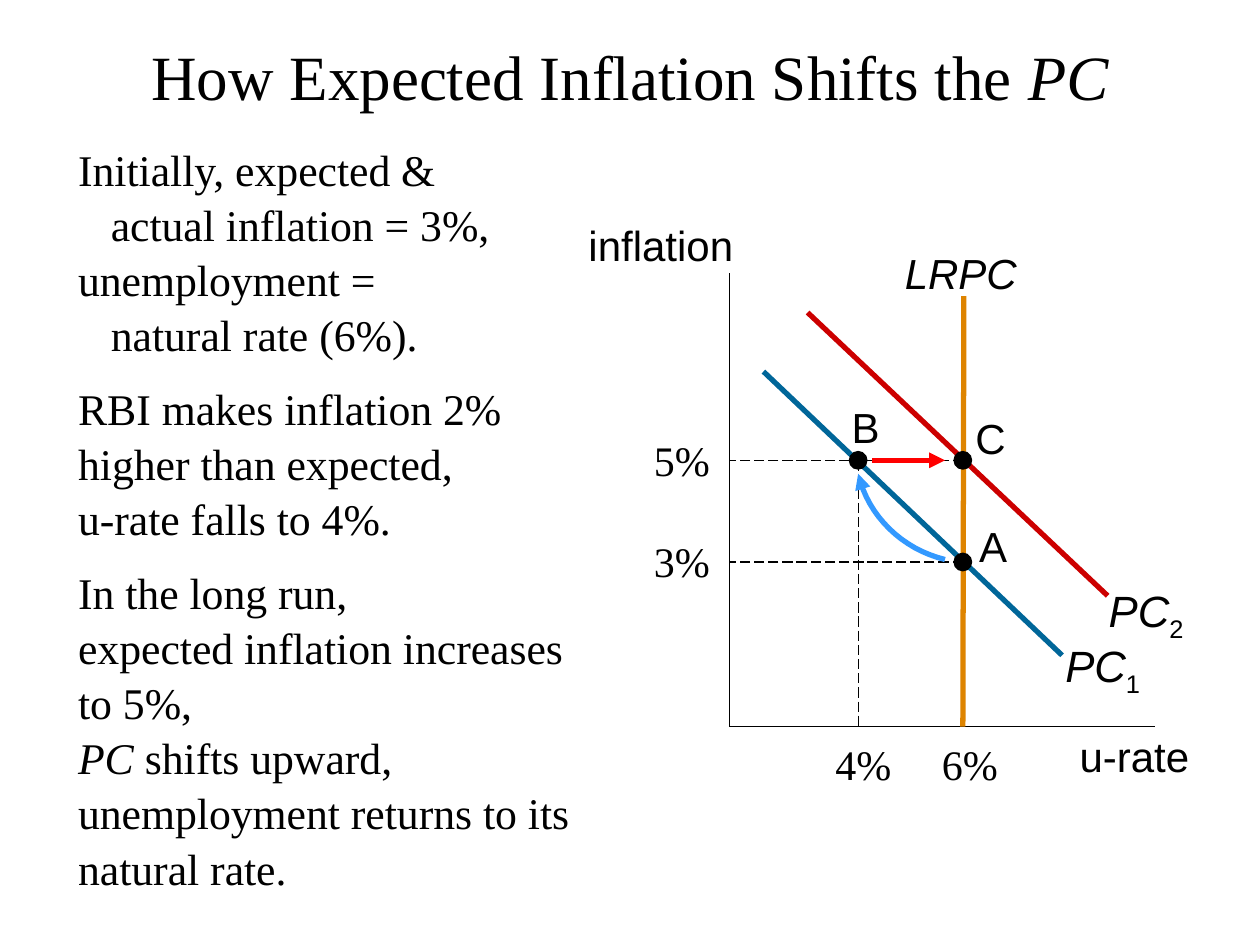
from pptx import Presentation, util as u
from pptx.dml.color import RGBColor
from pptx.enum import dml, shapes, text
from pptx.oxml import ns, xmlchemy as xml

Cm, Pt = u.Cm, u.Pt
SERIF, SANS = "Times New Roman", "Arial"
BLACK = "000000"
LEFT, MID, RIGHT = text.PP_ALIGN.LEFT, text.PP_ALIGN.CENTER, text.PP_ALIGN.RIGHT

TITLE = [("How Expected Inflation Shifts the ", ""), ("PC", "i")]
BODY = [
    (0.66, 10.9, [("Initially, expected &\vactual inflation = 3%,", "")]),
    (0.66, 0, [("unemployment =\vnatural rate (6%).", "")]),
    (0, 10.9, [("RBI makes inflation 2% higher than expected,\vu-rate falls to 4%.", "")]),
    (0, 10.9, [
        ("In the long run,\vexpected inflation increases to 5%,\v", ""),
        ("PC", "i"),
        (" shifts upward,\vunemployment returns to its natural rate.", ""),
    ]),
]

LOW, NAT = 17.3, 19.41
HIGH, BASE = 9.28, 11.33
AXIS, FLOOR = 14.71, 14.65
DOTS = [(NAT, BASE), (LOW, HIGH), (NAT, HIGH)]
DOT = 0.38

LINES = [
    ((AXIS, 5.51), (AXIS, FLOOR), BLACK, 0.75, ""),
    ((AXIS, FLOOR), (23.29, FLOOR), BLACK, 0.75, ""),
    ((15.39, 7.49), (21.41, 13.21), "006699", 3, ""),
    ((NAT + 0.02, 5.97), (NAT, FLOOR), "DE8400", 3, ""),
    ((NAT, BASE), (AXIS, BASE), BLACK, 0.75, "dash"),
    ((16.28, 6.3), (22.33, 12.01), "CC0000", 3, ""),
    ((LOW, HIGH), (LOW, FLOOR), BLACK, 0.75, "dash"),
    ((NAT, HIGH), (AXIS, HIGH), BLACK, 0.75, "dash"),
    ((17.58, HIGH), (19.05, HIGH), "FF0000", 3, "arrow"),
]
BEND = [(19.05, 11.28), (18.19, 11.07), (17.5, 10.41), (17.3, 9.55)]

LABELS = [
    (21.46, 14.73, 2.82, MID, SANS, 24, [("u-rate", "")]),
    (11.73, 4.42, 3.05, RIGHT, SANS, 24, [("inflation", "")]),
    (18.06, 5, 2.62, MID, SANS, 24, [("LRPC", "i")]),
    (21.34, 12.88, 1.78, MID, SANS, 25, [("PC", "i"), ("1", "s")]),
    (22.23, 11.76, 1.75, MID, SANS, 25, [("PC", "i"), ("2", "s")]),
    (18.99, 14.88, 1.13, LEFT, SERIF, 24, [("6%", "")]),
    (16.84, 14.88, 1.13, LEFT, SERIF, 24, [("4%", "")]),
    (13.18, 10.8, 1.13, LEFT, SERIF, 24, [("3%", "")]),
    (13.18, 8.76, 1.13, LEFT, SERIF, 24, [("5%", "")]),
    (19.51, 10.49, 1.02, MID, SANS, 24, [("A", "")]),
    (16.94, 8.1, 1.02, MID, SANS, 24, [("B", "")]),
    (19.46, 8.31, 1.02, MID, SANS, 24, [("C", "")]),
]


def tint(fmt, code):
    if hasattr(fmt, "solid"):
        fmt.solid()
        fmt = fmt.fore_color
    fmt.rgb = RGBColor.from_string(code)


def tag(root, name, **attrs):
    node = xml.OxmlElement(name)
    for key, val in attrs.items():
        node.set(key, val)
    root.append(node)


def write(par, parts, font, size, side):
    par.alignment = side
    for words, style in parts:
        for pos, piece in enumerate(words.split("\v")):
            if pos:
                par.add_line_break()
            if not piece:
                continue
            run = par.add_run()
            run.text = piece
            run.font.name, run.font.size = font, Pt(size)
            run.font.italic = style == "i"
            tint(run.font.color, BLACK)
            if style == "s":
                run.font._element.set("baseline", "-25000")


def place(shape, left, top, wide, high):
    shape.left, shape.top = Cm(left), Cm(top)
    shape.width, shape.height = Cm(wide), Cm(high)


def ink(line, code, width, head=False):
    tint(line.fill, code)
    line.width = Pt(width)
    if head:
        tag(line._get_or_add_ln(), "a:tailEnd", type="triangle")


def draw(tree, start, end, code, width, kind):
    line = tree.add_connector(
        shapes.MSO_CONNECTOR.STRAIGHT, *map(Cm, start), *map(Cm, end))
    ink(line.line, code, width, kind == "arrow")
    if kind == "dash":
        line.line.dash_style = dml.MSO_LINE.LONG_DASH
    tag(line._element.spPr, "a:effectLst")


def curve(tree, code, steps=16):
    spots = []
    for n in range(steps + 1):
        t = n / steps
        mix = ((1 - t) ** 3, 3 * t * (1 - t) ** 2, 3 * t * t * (1 - t), t ** 3)
        spots.append(tuple(
            Cm(sum(m * p[k] for m, p in zip(mix, BEND))) for k in (0, 1)))
    pen = tree.build_freeform(*spots[0])
    pen.add_line_segments(spots[1:], close=False)
    arc = pen.convert_to_shape()
    arc.shadow.inherit = False
    arc.fill.background()
    ink(arc.line, code, 3, True)


def label(tree, left, top, wide, side, font, size, parts):
    frame = tree.add_textbox(Cm(left), Cm(top), Cm(wide), Cm(1.02)).text_frame
    frame.word_wrap = font == SANS
    frame.margin_left = frame.margin_right = 0
    frame.margin_top = frame.margin_bottom = 0
    write(frame.paragraphs[0], parts, font, size, side)


def main():
    deck = Presentation()
    deck.slide_width, deck.slide_height = Cm(25.4), Cm(19.05)
    slide = deck.slides.add_slide(deck.slide_layouts[1])
    tree = slide.shapes
    head, body = tree.title, slide.placeholders[1]

    place(head, 1.27, 0.61, 22.86, 1.8)
    place(body, 1.32, 2.69, 10.59, 15.14)
    for shape in (head, body):
        shape.text_frame.auto_size = text.MSO_AUTO_SIZE.NONE
    write(head.text_frame.paragraphs[0], TITLE, SERIF, 36, MID)

    frame = body.text_frame
    for pos, (hang, gap, parts) in enumerate(BODY):
        par = frame.add_paragraph() if pos else frame.paragraphs[0]
        write(par, parts, SERIF, 25, LEFT)
        par.space_before, par.line_spacing = Pt(gap), 1.05
        props = par._p.get_or_add_pPr()
        props.set("marL", str(Cm(hang)))
        props.set("indent", str(-Cm(hang)))
        tag(props, "a:buNone")

    for line in LINES:
        draw(tree, *line)
    curve(tree, "3399FF")
    for x, y in DOTS:
        dot = tree.add_shape(
            shapes.MSO_SHAPE.OVAL, Cm(x - DOT / 2), Cm(y - DOT / 2), Cm(DOT), Cm(DOT))
        dot.shadow.inherit = False
        tint(dot.fill, BLACK)
        dot.line.fill.background()
    for item in LABELS:
        label(tree, *item)
    deck.save("out.pptx")


if __name__ == "__main__":
    main()
